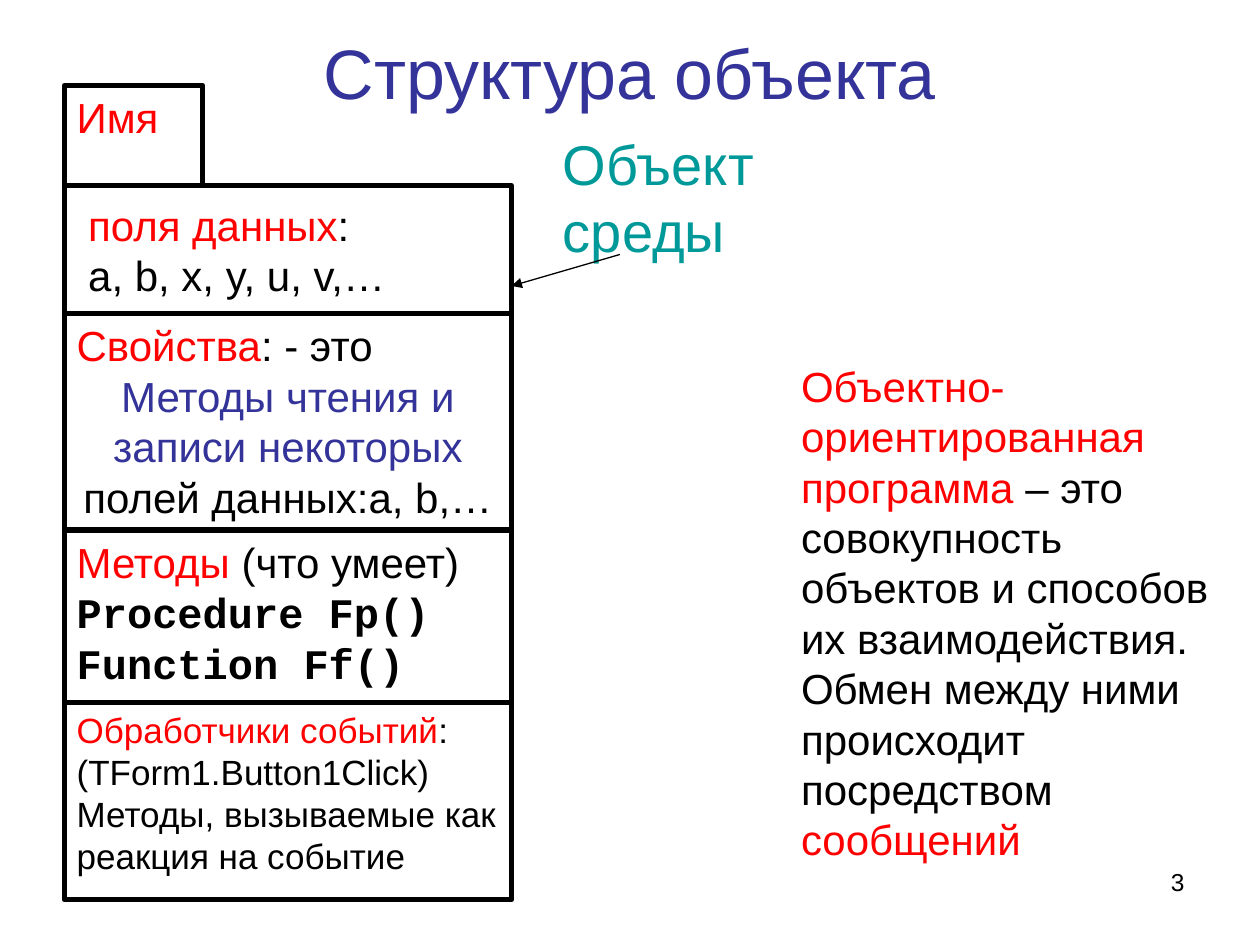
from lxml.etree import SubElement
from pptx import Presentation
from pptx.dml.color import RGBColor
from pptx.enum.shapes import MSO_CONNECTOR, MSO_SHAPE
from pptx.enum.text import MSO_ANCHOR as ANCHOR, PP_ALIGN as ALIGN
from pptx.oxml.ns import qn
from pptx.util import Inches, Pt

BLACK = RGBColor(0x00, 0x00, 0x00)
WHITE = RGBColor(0xFF, 0xFF, 0xFF)
RED = RGBColor(0xFF, 0x00, 0x00)
BLUE = RGBColor(0x33, 0x33, 0x99)
TEAL = RGBColor(0x00, 0x99, 0x99)

CELL = Inches(0.1)  # the slide is a grid of 100 columns by 75 rows
SANS, MONO = "Arial", "Courier New"


def cells(*lengths):
    return [round(n * CELL) for n in lengths]


def write(sp, paragraphs, size=24, align=ALIGN.LEFT, anchor=ANCHOR.TOP, indent=1):
    """Fill a shape with paragraphs, each a list of (text, colour[, font])."""
    tf = sp.text_frame
    tf.word_wrap = True
    tf.vertical_anchor = anchor
    tf.margin_left = cells(indent)[0]
    for i, runs in enumerate(paragraphs):
        p = tf.paragraphs[0] if i == 0 else tf.add_paragraph()
        p.alignment = align
        for text, color, *font in runs:
            r = p.add_run()
            r.text = text
            r.font.name = font[0] if font else SANS
            r.font.bold = bool(font)
            r.font.size = Pt(size)
            r.font.color.rgb = color


def add_label(slide, box, runs, **style):
    write(slide.shapes.add_textbox(*cells(*box)), [runs], **style)


def add_compartment(slide, box, paragraphs, **style):
    sp = slide.shapes.add_shape(MSO_SHAPE.RECTANGLE, *cells(*box))
    sp.shadow.inherit = False
    sp.fill.solid()
    sp.fill.fore_color.rgb = WHITE
    sp.line.color.rgb = BLACK
    sp.line.width = Pt(3)
    write(sp, paragraphs, **style)
    return sp


def add_object_diagram(slide, box):
    """Stack the compartments of an object, the narrow name tab on top."""
    left, top, width, height = box
    name = [[("Имя", RED)]]
    fields = [[("поля данных", RED), (":", BLACK)],
              [("a, b, x, y, u, v,…", BLACK)]]
    properties = [[("Свойства", RED), (": - это", BLACK)],
                  [("Методы чтения и записи некоторых ", BLUE),
                   ("полей данных:a, b,…", BLACK)]]
    methods = [[("Методы", RED), (" (что умеет)", BLACK)],
               [("Procedure Fp()", BLACK, MONO)],
               [("Function Ff()", BLACK, MONO)]]
    handlers = [[("Обработчики событий", RED), (":", BLACK)],
                [("(TForm1.Button1Click)", BLACK)],
                [("Методы, вызываемые как реакция на событие", BLACK)]]
    # paragraphs, share of the height, share of the width, text style
    rows = [(name, 0.123, 0.31, {}),
            (fields, 0.157, 1, {"anchor": ANCHOR.MIDDLE, "indent": 1.9}),
            (properties, 0.266, 1, {}),
            (methods, 0.212, 1, {}),
            (handlers, 0.242, 1, {"size": 20})]
    for paragraphs, tall, wide, style in rows:
        sp = add_compartment(slide, (left, top, width * wide, height * tall),
                             paragraphs, **style)
        if paragraphs is properties:
            sp.text_frame.paragraphs[1].alignment = ALIGN.CENTER
        top += height * tall


def add_arrow(slide, start, end):
    line = slide.shapes.add_connector(MSO_CONNECTOR.STRAIGHT, *cells(*start, *end))
    line.line.color.rgb = BLACK
    line.line.width = Pt(0.75)
    SubElement(line.line._get_or_add_ln(), qn("a:tailEnd"), type="triangle")
    SubElement(line._element.spPr, qn("a:effectLst"))


def add_callout(slide, box):
    """Label the diagram and point an arrow from the label back to it."""
    left, top, width, height = box
    add_label(slide, box, [("Объект среды", TEAL)], size=32)
    add_arrow(slide, (left + 5.5, top + 10.4), (left - 3.1, top + 12.9))


def add_definition(slide, box):
    add_label(slide, box, [
        ("Объектно-ориентированная программа", RED),
        (" – это совокупность объектов и способов их взаимодействия. "
         "Обмен между ними происходит посредством ", BLACK),
        ("сообщений", RED)])


def main():
    prs = Presentation()
    prs.slide_width, prs.slide_height = cells(100, 75)
    slide = prs.slides.add_slide(prs.slide_layouts[6])
    add_object_diagram(slide, (5.1, 6.8, 35.5, 64.6))
    add_callout(slide, (43.7, 9.8, 17.3, 13.5))
    add_label(slide, (5, 3, 90, 5.4), [("Структура объекта", BLUE)],
              size=40, align=ALIGN.CENTER, anchor=ANCHOR.MIDDLE)
    add_definition(slide, (62.6, 28.1, 35.4, 41))
    add_label(slide, (71.7, 68.3, 23.3, 5.2), [("3", BLACK)],
              size=14, align=ALIGN.RIGHT)
    prs.save("out.pptx")


if __name__ == "__main__":
    main()
